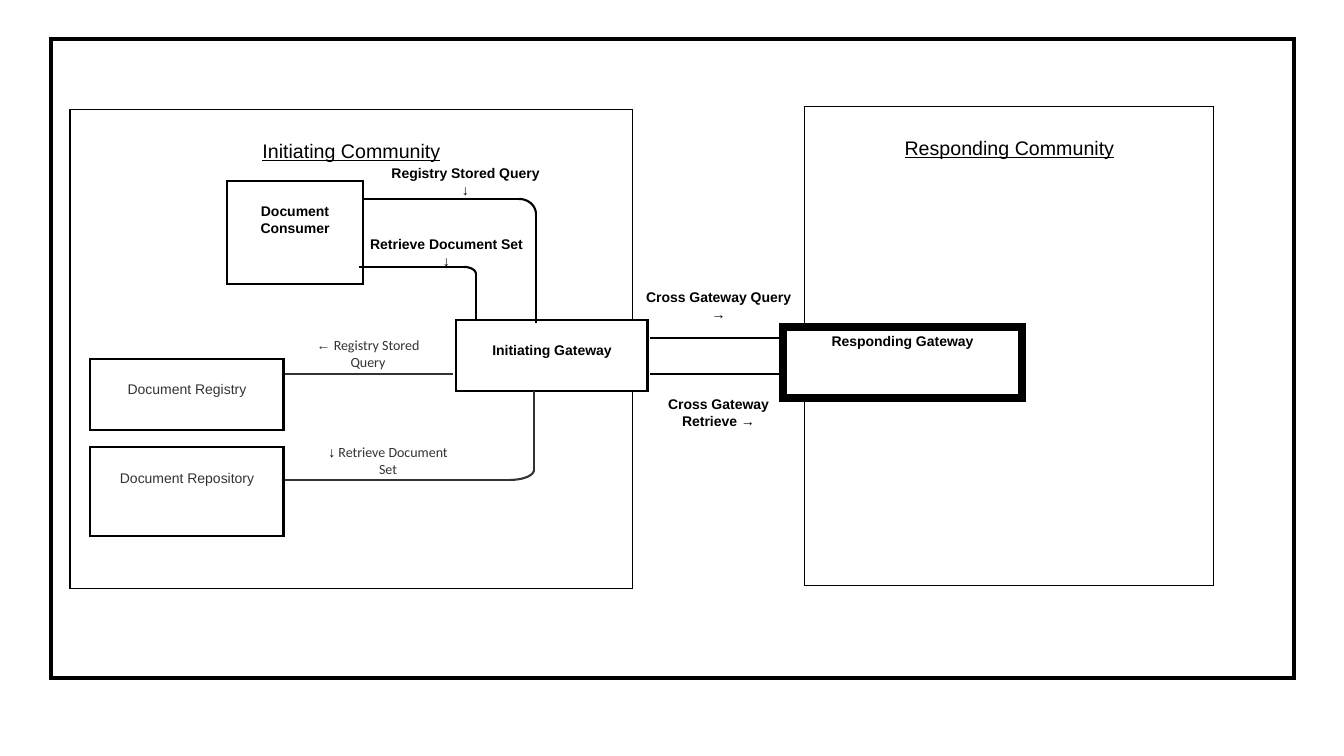
from dataclasses import dataclass
from math import cos, pi, sin

from lxml.etree import SubElement
from pptx import Presentation
from pptx.dml.color import RGBColor
from pptx.enum.shapes import MSO_CONNECTOR, MSO_SHAPE
from pptx.enum.text import MSO_ANCHOR, PP_ALIGN
from pptx.oxml.ns import qn
from pptx.util import Pt

EMU_PER_PX = 914400 / 100.8


@dataclass(frozen=True)
class Theme:
    black: RGBColor = RGBColor(0, 0, 0)
    gray: RGBColor = RGBColor(0x33, 0x33, 0x33)
    white: RGBColor = RGBColor(0xFF, 0xFF, 0xFF)
    title_size: int = 14
    body_size: int = 10
    main_font: str = "Arial"
    note_font: str = "Calibri"
    arrow_font: str = "Times New Roman"
    wire_width: float = 1.5


THEME = Theme()


def px(length):
    return round(length * EMU_PER_PX)


def write(paragraph, text, font=THEME.main_font, size=THEME.body_size,
          color=THEME.black, bold=False, underline=False):
    run = paragraph.add_run()
    run.text = text
    run.font.name = font
    run.font.size = Pt(size)
    run.font.color.rgb = color
    run.font.bold = bold
    run.font.underline = underline


def centered_paragraph(shape, top, side=10):
    """Set the insets of the shape and return its centred first paragraph."""
    frame = shape.text_frame
    frame.word_wrap = True
    frame.vertical_anchor = MSO_ANCHOR.TOP
    frame.margin_left = frame.margin_right = px(side)
    frame.margin_top, frame.margin_bottom = px(top), 0
    paragraph = frame.paragraphs[0]
    paragraph.alignment = PP_ALIGN.CENTER
    return paragraph


def add_box(slide, bounds, border, text="", top=22, filled=True, **text_format):
    box = slide.shapes.add_shape(MSO_SHAPE.RECTANGLE, *map(px, bounds))
    box.shadow.inherit = False
    if filled:
        box.fill.solid()
        box.fill.fore_color.rgb = THEME.white
    else:
        box.fill.background()
    box.line.color.rgb = THEME.black
    box.line.width = Pt(border)
    SubElement(box.element.spPr.find(qn("a:ln")), qn("a:miter"), lim="800000")
    if text:
        write(centered_paragraph(box, top), text, **text_format)


def add_label(slide, bounds, parts, top=22, side=10):
    """Add a text box from pairs of a text and its format."""
    label = slide.shapes.add_textbox(*map(px, bounds))
    paragraph = centered_paragraph(label, top, side)
    for text, text_format in parts:
        write(paragraph, text, **text_format)


def add_wire(slide, start, end, color=THEME.black):
    wire = slide.shapes.add_connector(
        MSO_CONNECTOR.STRAIGHT, *map(px, (*start, *end)))
    wire.line.color.rgb = color
    wire.line.width = Pt(THEME.wire_width)
    SubElement(wire.element.spPr, qn("a:effectLst"))


def add_bent_wire(slide, start, bend, end, color=THEME.black, steps=12):
    """Run level from start, round off by the bend size, then go upright to end."""
    (left, level), (reach, drop), (right, _) = start, bend, end
    curve_left, curve_end = right - reach, level + drop
    angles = [pi / 2 * step / steps for step in range(steps + 1)]
    points = [(px(curve_left + reach * sin(a)), px(level + drop * (1 - cos(a))))
              for a in angles]
    outline = slide.shapes.build_freeform(*points[0])
    outline.add_line_segments(points[1:], close=False)
    curve = outline.convert_to_shape()
    curve.shadow.inherit = False
    curve.fill.background()
    curve.line.color.rgb = color
    curve.line.width = Pt(THEME.wire_width)
    add_wire(slide, start, (curve_left, level), color)
    add_wire(slide, (right, curve_end), end, color)


def main():
    deck = Presentation()
    deck.slide_width, deck.slide_height = px(1344), px(756)
    slide = deck.slides.add_slide(deck.slide_layouts[6])

    strong = {"bold": True}
    muted = {"color": THEME.gray}
    note = {"font": THEME.note_font, "color": THEME.gray}
    arrow = {"font": THEME.arrow_font}
    heading = {"size": THEME.title_size, "underline": True, "top": 29}

    add_box(slide, (51, 39, 1243, 639), 3, filled=False)
    add_box(slide, (805, 107, 409, 479), 0.75, "Responding Community", **heading)
    add_box(slide, (70, 110, 563, 479), 0.75, "Initiating Community", **heading)
    add_box(slide, (456, 320, 192, 71), 2, "Initiating Gateway", **strong)
    add_box(slide, (227, 181, 136, 103), 2, "Document Consumer", **strong)
    add_box(slide, (783, 327, 239, 71), 6, "Responding Gateway", top=5, **strong)

    add_bent_wire(slide, (362, 199), (17, 15), (536, 323))
    add_bent_wire(slide, (359, 267), (12, 7), (476, 321))
    add_bent_wire(slide, (281, 480), (24, -10), (534, 391), THEME.gray)
    add_wire(slide, (281, 374), (453, 374), THEME.gray)
    for level in (338, 374):
        add_wire(slide, (650, level), (786, level))

    add_box(slide, (90, 359, 194, 71), 2, "Document Registry", **muted)
    add_box(slide, (90, 447, 194, 89), 2, "Document Repository", **muted)

    for left, top, transaction, direction in (
            (378, 143, "Registry Stored Query ", "↓"),
            (359, 214, "Retrieve Document Set ", "↓"),
            (631, 267, "Cross Gateway Query ", "→"),
            (631, 374, "Cross Gateway Retrieve ", "→")):
        add_label(slide, (left, top, 175, 71),
                  [(transaction, strong), (direction, {**arrow, **strong})])
    for left, top, direction, transaction, color in (
            (300, 320, "←", " Registry Stored Query", THEME.gray),
            (320, 427, "↓", " Retrieve Document Set", THEME.black)):
        add_label(slide, (left, top, 136, 52),
                  [(direction, {**arrow, "color": color}), (transaction, note)],
                  top=17, side=0)

    deck.save("out.pptx")


if __name__ == "__main__":
    main()
